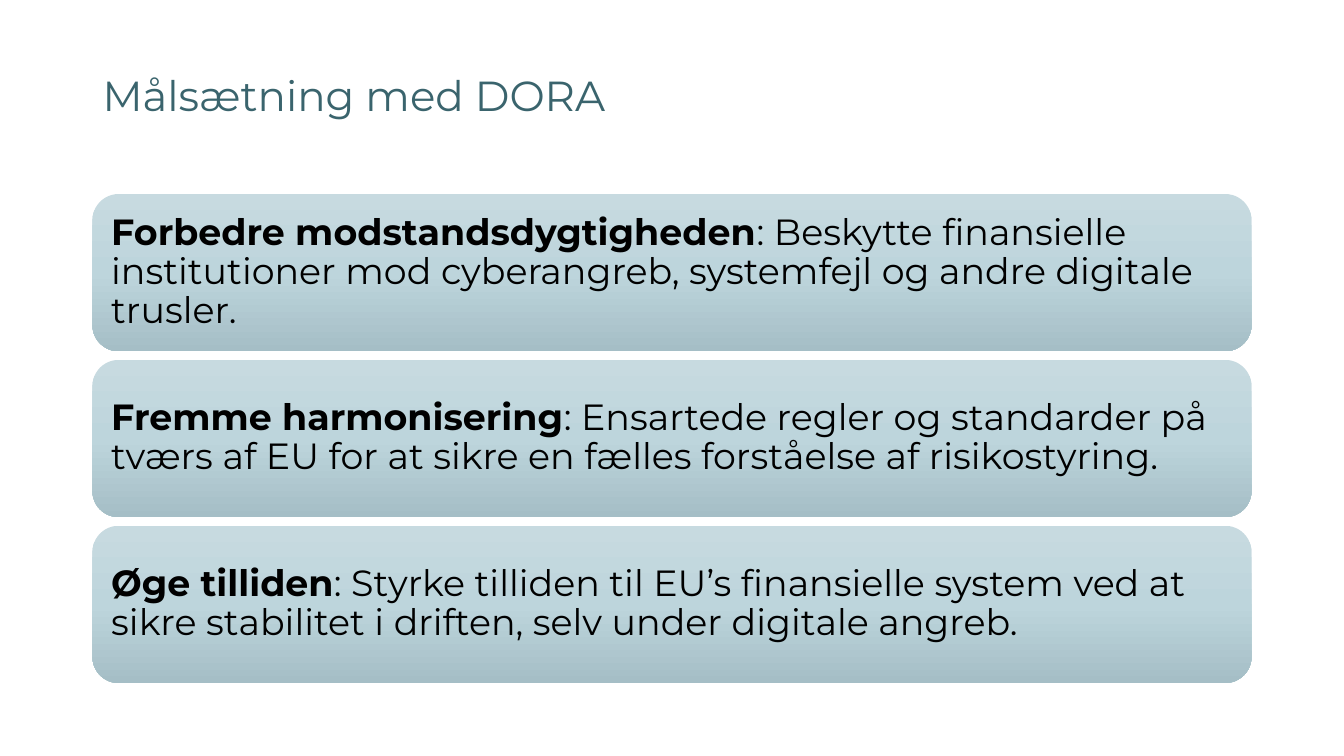
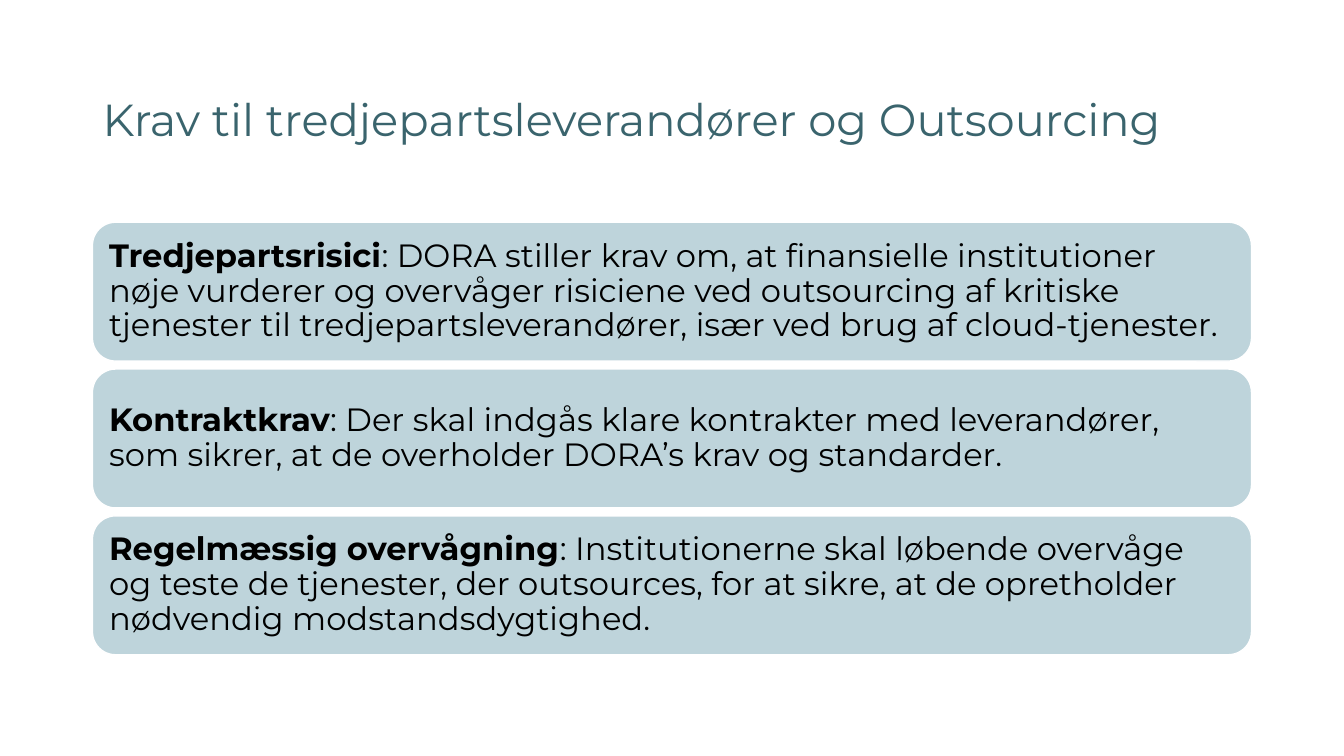
from copy import deepcopy

from pptx import Presentation
from pptx.dml.color import RGBColor
from pptx.enum.shapes import MSO_SHAPE
from pptx.enum.text import MSO_ANCHOR, MSO_AUTO_SIZE, PP_ALIGN
from pptx.util import Cm, Pt

# Content
SLIDES = [
    {
        "title": "Målsætning med DORA", "title_size": 30, "title_anchor": MSO_ANCHOR.TOP,
        "top": 4.89, "height": 3.96, "gap": 0.22, "inset": 0.28, "size": 26,
        "gradient": True,
        "goals": [
            ("Forbedre modstandsdygtigheden",
             ": Beskytte finansielle institutioner mod cyberangreb, systemfejl og andre digitale trusler."),
            ("Fremme harmonisering",
             ": Ensartede regler og standarder på tværs af EU for at sikre en fælles forståelse af risikostyring."),
            ("Øge tilliden",
             ": Styrke tilliden til EU’s finansielle system ved at sikre stabilitet i driften, selv under digitale angreb."),
        ],
    },
    {
        "title": "Krav til tredjepartsleverandører og Outsourcing", "title_size": 32,
        "title_anchor": MSO_ANCHOR.MIDDLE,
        "top": 5.6, "height": 3.5, "gap": 0.2, "inset": 0.25, "size": 23,
        "gradient": False,
        "goals": [
            ("Tredjepartsrisici",
             ": DORA stiller krav om, at finansielle institutioner nøje vurderer og overvåger risiciene ved "
             "outsourcing af kritiske tjenester til tredjepartsleverandører, især ved brug af cloud-tjenester."),
            ("Kontraktkrav",
             ": Der skal indgås klare kontrakter med leverandører, som sikrer, at de overholder DORA’s krav "
             "og standarder."),
            ("Regelmæssig overvågning",
             ": Institutionerne skal løbende overvåge og teste de tjenester, der outsources, for at sikre, "
             "at de opretholder nødvendig modstandsdygtighed."),
        ],
    },
]

# Shared style
FONT = "Montserrat"
COLORS = {"title": "3A646D", "text": "000000", "panel": "BED4DB", "edge": "FFFFFF",
          "light": "C7DAE0", "middle": "BDD5DC", "dark": "A5BEC6"}
GRADIENT = [(0, "light"), (0.5, "middle"), (1, "dark")]
LEFT, WIDTH = Cm(2.33), Cm(29.21)


def color(name):
    return RGBColor.from_string(COLORS[name])


def style_run(run, size, color_name, bold=False):
    run.font.name = FONT
    run.font.size = Pt(size)
    run.font.bold = bold
    run.font.color.rgb = color(color_name)


def add_title(slide, content):
    title = slide.shapes.title
    title.left, title.top, title.width, title.height = LEFT, Cm(1.78), WIDTH, Cm(2.57)
    frame = title.text_frame
    frame.text = content["title"]
    frame.auto_size = MSO_AUTO_SIZE.NONE
    frame.vertical_anchor = content["title_anchor"]
    heading = frame.paragraphs[0]
    heading.alignment = PP_ALIGN.LEFT
    heading.line_spacing = 0.9
    style_run(heading.runs[0], content["title_size"], "title")


def fill_gradient(fill):
    fill.gradient()
    fill.gradient_angle = 270
    # The default gradient has two stops; add the third
    stop_list = fill._fill._gradFill.gsLst
    stop_list.append(deepcopy(stop_list[-1]))
    for stop, (position, name) in zip(fill.gradient_stops, GRADIENT):
        stop.position = position
        stop.color.rgb = color(name)


def add_panel(slide, content, index, goal):
    top = content["top"] + index * (content["height"] + content["gap"])
    panel = slide.shapes.add_shape(MSO_SHAPE.ROUNDED_RECTANGLE, LEFT, Cm(top),
                                   WIDTH, Cm(content["height"]))
    panel.shadow.inherit = False
    if content["gradient"]:
        fill_gradient(panel.fill)
        panel.line.fill.background()
    else:
        panel.fill.solid()
        panel.fill.fore_color.rgb = color("panel")
        panel.line.color.rgb = color("edge")
        panel.line.width = Pt(1)

    # Bold lead followed by its explanation
    frame = panel.text_frame
    frame.word_wrap = True
    frame.vertical_anchor = MSO_ANCHOR.MIDDLE
    inset = Cm(content["inset"])
    frame.margin_left = frame.margin_right = frame.margin_top = frame.margin_bottom = inset
    statement = frame.paragraphs[0]
    statement.alignment = PP_ALIGN.LEFT
    statement.line_spacing = 0.9
    for words, bold in zip(goal, (True, False)):
        run = statement.add_run()
        run.text = words
        style_run(run, content["size"], "text", bold)


def main():
    deck = Presentation()
    deck.slide_width, deck.slide_height = Cm(33.87), Cm(19.05)
    title_only = deck.slide_layouts[5]
    for content in SLIDES:
        slide = deck.slides.add_slide(title_only)
        add_title(slide, content)
        for index, goal in enumerate(content["goals"]):
            add_panel(slide, content, index, goal)
    deck.save("out.pptx")


if __name__ == "__main__":
    main()
